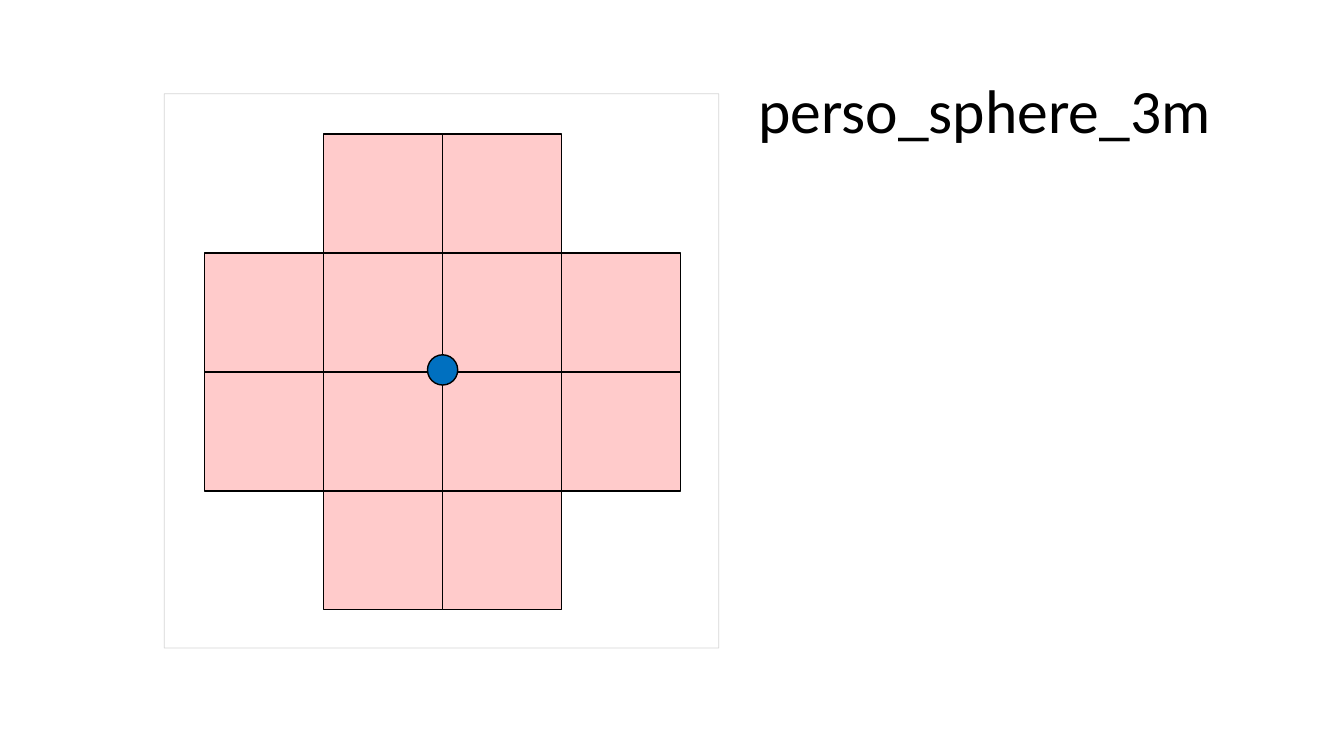
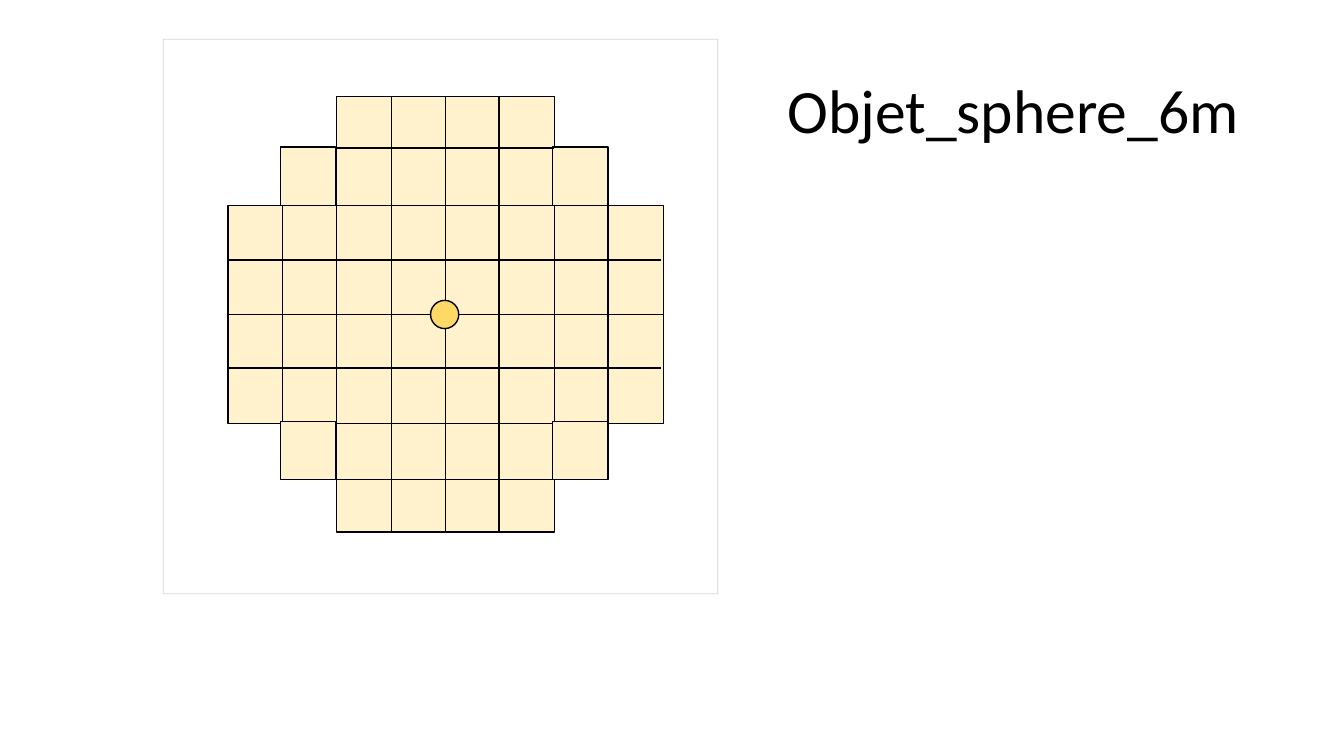
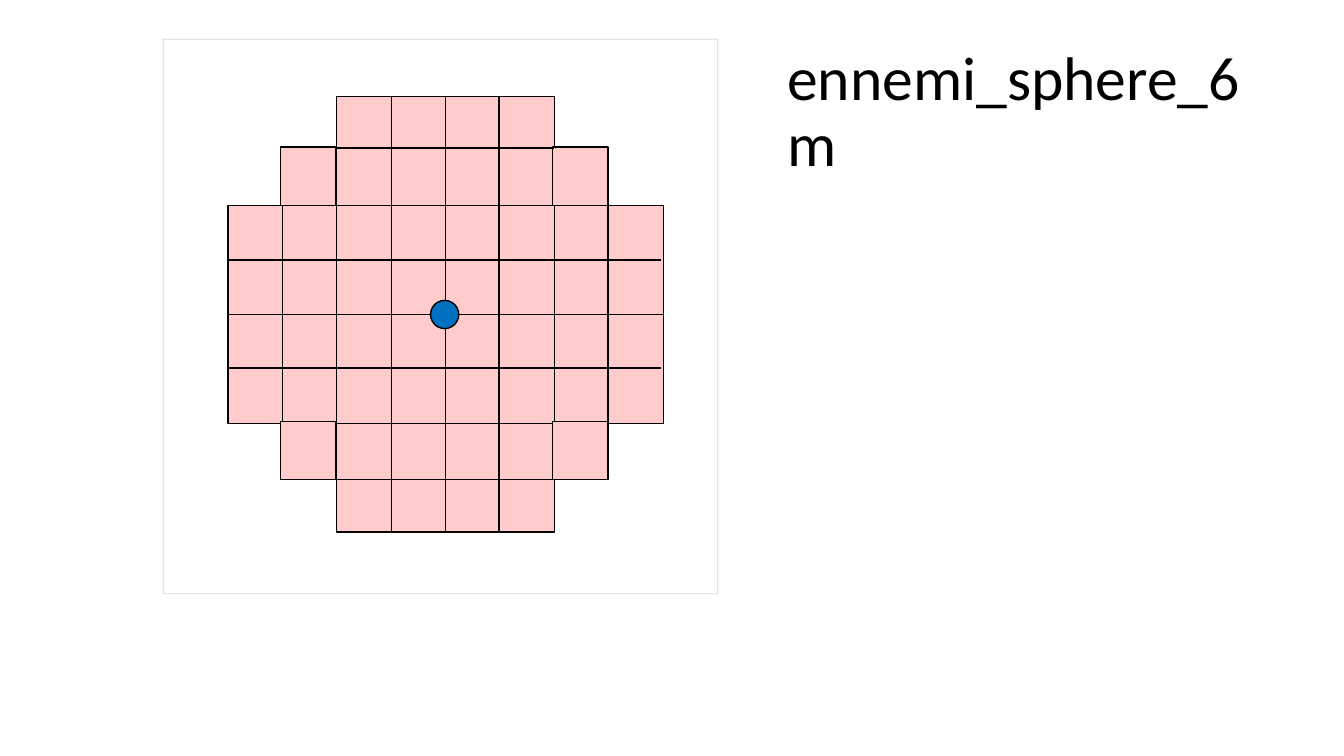
from dataclasses import dataclass
from itertools import product
from typing import Any

from lxml import etree
from pptx import Presentation
from pptx import util as u
from pptx.dml.color import RGBColor
from pptx.enum import shapes, text
from pptx.oxml import ns

BLACK, GREY = "000000", "A6A6A6"
PINK, CREAM = "FFCBCB", "FFF2CC"
BLUE, GOLD = "0070C0", "FFD966"
FONT = "Calibri"
RECT, OVAL = shapes.MSO_SHAPE.RECTANGLE, shapes.MSO_SHAPE.OVAL
SIDE = 4  # large cells along each side of the cross


@dataclass(frozen=True)
class Box:
    """A place on the slide, in inches."""
    x: float
    y: float
    w: float
    h: float


@dataclass(frozen=True)
class Zone:
    """One area of effect: its title, places and colours."""
    name: str
    title: Box
    frame: Box
    left: float
    top: float
    cell: float
    dot: Box
    fill: str
    core: str
    fine: bool = True


# Fine grids add corner cells and lines that halve the large cells.
CORNERS = [Box(x, y, 0.55, 0.58) for x, y in product((2.78, 5.48), (1.46, 4.18))]
LINES = (
    [(2.26, y, 6.56, y) for y in (2.58, 3.65)]
    + [(x, 0.96, x, 5.27) for x in (3.88, 4.95)]
    + [(x, 2.04, x, 4.19) for x in (2.8, 6.03)]
    + [(3.34, y, 5.49, y) for y in (1.47, 4.76)]
)


def color(code: str) -> RGBColor:
    """Turn a hex string into a colour."""
    return RGBColor.from_string(code)


def shape(host: Any, kind: Any, box: Box, fill: str = "",
          line: str = BLACK, width: float = 1) -> Any:
    """Draw an outlined shape, filled if a fill is given."""
    item = host.add_shape(kind, *map(u.Inches, (box.x, box.y, box.w, box.h)))
    item.shadow.inherit = False
    if fill:
        item.fill.solid()
        item.fill.fore_color.rgb = color(fill)
    else:
        item.fill.background()
    item.line.color.rgb = color(line)
    item.line.width = u.Pt(width)
    return item


def frame(host: Any, box: Box) -> None:
    """Draw the faint square around the area."""
    item = shape(host, RECT, box, line=GREY, width=0.5)
    ink = item.element.spPr.xpath("./a:ln//a:srgbClr")[0]
    etree.SubElement(ink, ns.qn("a:alpha"), val="45000")


def rule(host: Any, ends: tuple[float, float, float, float]) -> None:
    """Draw a thin black line between two points."""
    item = host.add_connector(shapes.MSO_CONNECTOR.STRAIGHT, *map(u.Inches, ends))
    item.line.color.rgb = color(BLACK)
    item.line.width = u.Pt(1)
    etree.SubElement(item.element.spPr, ns.qn("a:effectLst"))


def title(host: Any, box: Box, words: str) -> None:
    """Write the slide title."""
    item = host.add_textbox(*map(u.Inches, (box.x, box.y, box.w, box.h)))
    body = item.text_frame
    body.word_wrap = True
    body.vertical_anchor = text.MSO_ANCHOR.MIDDLE
    para = body.paragraphs[0]
    para.text = words
    para.line_spacing = 0.9
    para.font.name, para.font.size = FONT, u.Pt(44)
    para.font.color.rgb = color(BLACK)


def cross(host: Any, zone: Zone) -> None:
    """Draw the large cells: a square grid without its corners."""
    ends = (0, SIDE - 1)
    for row, col in product(range(SIDE), repeat=2):
        if row in ends and col in ends:
            continue
        box = Box(zone.left + col * zone.cell, zone.top + row * zone.cell,
                  zone.cell, zone.cell)
        shape(host, RECT, box, zone.fill)


def draw(deck: Any, zone: Zone) -> None:
    """Add the slide for one zone."""
    host = deck.slides.add_slide(deck.slide_layouts[6]).shapes
    title(host, zone.title, zone.name)
    frame(host, zone.frame)
    grid = host if zone.fine else host.add_group_shape().shapes
    cross(grid, zone)
    if zone.fine:
        for box in CORNERS:
            shape(grid, RECT, box, zone.fill)
        for ends in LINES:
            rule(grid, ends)
    shape(grid, OVAL, zone.dot, zone.core)


def large(name: str, fill: str, core: str) -> Zone:
    """Describe a six-metre zone."""
    return Zone(name, Box(7.71, 0.4, 5.17, 1.45), Box(1.62, 0.39, 5.5, 5.5),
                2.26, 0.96, 1.08, Box(4.27, 2.98, 0.28, 0.28), fill, core)


ZONES = [
    Zone("perso_sphere_3m", Box(7.42, 0.4, 5.41, 1.45), Box(1.63, 0.93, 5.5, 5.5),
         2.03, 1.33, 1.18, Box(4.24, 3.52, 0.3, 0.3), PINK, BLUE, fine=False),
    large("Objet_sphere_6m", CREAM, GOLD),
    large("ennemi_sphere_6m", PINK, BLUE),
]


def main() -> None:
    """Build and save the slides."""
    deck = Presentation()
    deck.slide_width, deck.slide_height = u.Inches(13.33), u.Inches(7.5)
    for zone in ZONES:
        draw(deck, zone)
    deck.save("out.pptx")


main()
